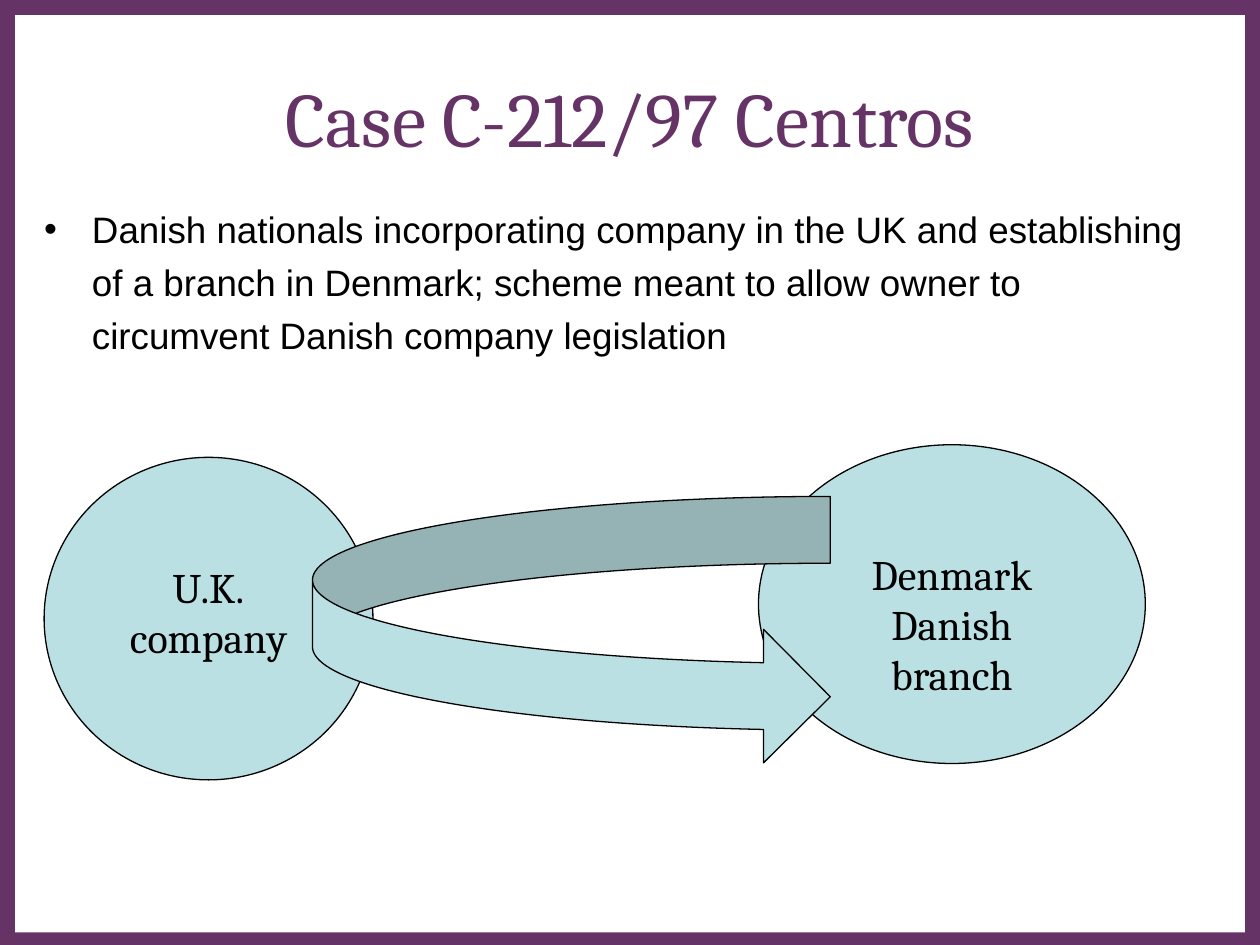
from dataclasses import dataclass

from lxml.etree import SubElement
from pptx import Presentation
from pptx.dml.color import RGBColor
from pptx.enum.shapes import MSO_SHAPE as Preset
from pptx.enum.text import MSO_ANCHOR as Anchor, MSO_AUTO_SIZE as AutoSize, PP_ALIGN as Align
from pptx.oxml.ns import qn
from pptx.util import Inches, Pt

COLORS = {"purple": "663366", "white": "FFFFFF", "aqua": "BBE0E3", "black": "000000"}
TITLE_FONT = {"name": "Cambria", "size": Pt(44)}
BODY_FONT = {"name": "Arial", "size": Pt(21)}
LABEL_FONT = {"name": "Cambria", "size": Pt(24)}


@dataclass
class Figure:
    preset: Preset
    left: float
    top: float
    width: float
    height: float
    fill: str = "aqua"
    line: str = ""
    lines: tuple[str, ...] = ()


FRAME = [
    Figure(Preset.RECTANGLE, 0, 0, 10, 7.5, "purple"),
    Figure(Preset.RECTANGLE, 0.12, 0.12, 9.76, 7.28, "white"),
]
DIAGRAM = [
    Figure(Preset.OVAL, 6.02, 3.53, 3.07, 2.53, line="black", lines=("Denmark", "Danish branch")),
    Figure(Preset.OVAL, 0.35, 3.63, 2.61, 2.56, line="black", lines=("U.K.", "company")),
    Figure(Preset.CURVED_RIGHT_ARROW, 2.48, 3.94, 4.11, 2.12, line="black"),
]


def rgb(name: str) -> RGBColor:
    return RGBColor.from_string(COLORS[name])


def format_paragraph(paragraph, font: dict, color: str, layout: dict) -> None:
    for target, values in ((paragraph, layout), (paragraph.font, font)):
        for attribute, value in values.items():
            setattr(target, attribute, value)
    paragraph.font.color.rgb = rgb(color)


def place(shape, left: float, top: float, width: float, height: float) -> None:
    box = {"left": left, "top": top, "width": width, "height": height}
    for attribute, value in box.items():
        setattr(shape, attribute, Inches(value))


def draw_figure(slide, figure: Figure):
    box = (Inches(value) for value in (figure.left, figure.top, figure.width, figure.height))
    shape = slide.shapes.add_shape(figure.preset, *box)
    shape.shadow.inherit = False
    shape.fill.solid()
    shape.fill.fore_color.rgb = rgb(figure.fill)
    if figure.line:
        shape.line.color.rgb = rgb(figure.line)
        shape.line.width = Pt(0.75)
    else:
        shape.line.fill.background()
    if figure.lines:
        frame = shape.text_frame
        frame.word_wrap = True
        frame.vertical_anchor = Anchor.TOP
        frame.margin_top = Inches(0.45)
        frame.text = "\n".join(figure.lines)
        for paragraph in frame.paragraphs:
            format_paragraph(paragraph, LABEL_FONT, "black", {"alignment": Align.CENTER})
    return shape


def draw_frame(slide) -> None:
    title = slide.shapes.title.element
    for figure in FRAME:
        title.addprevious(draw_figure(slide, figure).element)


def write_title(slide, text: str) -> None:
    title = slide.shapes.title
    place(title, 0.75, 0.34, 8.5, 1.17)
    title.text_frame.text = text
    title.text_frame.vertical_anchor = Anchor.MIDDLE
    format_paragraph(title.text_frame.paragraphs[0], TITLE_FONT, "purple", {"alignment": Align.CENTER})


def write_body(slide, text: str) -> None:
    body = slide.placeholders[1]
    place(body, 0.25, 1.52, 9.43, 5.21)
    body.text_frame.text = text
    body.text_frame.auto_size = AutoSize.NONE
    paragraph = body.text_frame.paragraphs[0]
    properties = paragraph._p.get_or_add_pPr()
    properties.set("marL", str(Inches(0.38)))
    properties.set("indent", str(Inches(-0.38)))
    SubElement(properties, qn("a:buFont")).set("typeface", "Arial")
    SubElement(properties, qn("a:buChar")).set("char", "•")
    format_paragraph(paragraph, BODY_FONT, "black", {"line_spacing": 1.2, "space_before": Pt(0)})


def main() -> None:
    presentation = Presentation()
    presentation.slide_width = Inches(10)
    presentation.slide_height = Inches(7.5)
    slide = presentation.slides.add_slide(presentation.slide_layouts[1])
    draw_frame(slide)
    write_title(slide, "Case C-212/97 Centros")
    write_body(
        slide,
        "Danish nationals incorporating company in the UK and establishing of a branch in Denmark; "
        "scheme meant to allow owner to circumvent Danish company legislation",
    )
    for figure in DIAGRAM:
        draw_figure(slide, figure)
    presentation.save("out.pptx")


if __name__ == "__main__":
    main()
